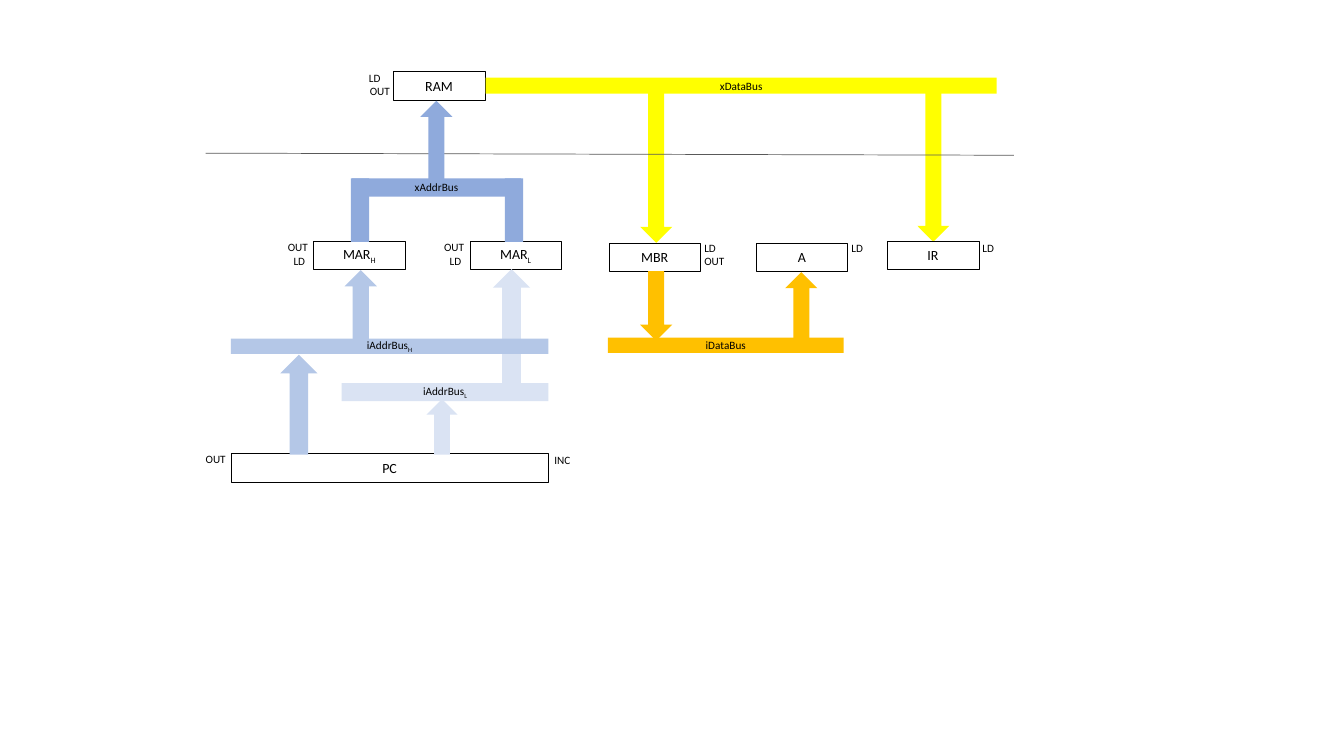
"""Draw the buses and registers of a small processor as one slide."""
from lxml.etree import SubElement
from pptx import Presentation
from pptx.dml.color import RGBColor
from pptx.enum.shapes import MSO_CONNECTOR, MSO_SHAPE as SHAPE
from pptx.enum.text import MSO_ANCHOR as ANCHOR, PP_ALIGN as ALIGN
from pptx.oxml.ns import qn
from pptx.util import Pt

COLORS = {
    "text": "000000", "register": "FFFFFF", "divider": "595959",
    "xdata": "FFFF00", "idata": "FFC000", "xaddr": "8FAADC",
    "iaddr_high": "B4C7E7", "iaddr_low": "DAE3F3",
}
REGISTER_W, REGISTER_H = 65.5, 20.2
SIGNAL_W, SIGNAL_H = 24.5, 9.4
ARROW_W, WIDE_ARROW_W = 23, 26.6


def color(name):
    return RGBColor.from_string(COLORS[name])


def write(frame, text, size, align, subscript=""):
    frame.margin_left = frame.margin_right = frame.margin_top = frame.margin_bottom = 0
    frame.word_wrap = True
    line = frame.paragraphs[0]
    line.text = text
    line.alignment = align
    if subscript:
        lowered = line.add_run()
        lowered.text = subscript
        lowered._r.get_or_add_rPr().set("baseline", "-25000")
    for run in line.runs:
        run.font.name = "Calibri"
        run.font.size = Pt(size)
        run.font.color.rgb = color("text")


def block(slide, kind, fill, left, top, width, height):
    part = slide.shapes.add_shape(kind, Pt(left), Pt(top), Pt(width), Pt(height))
    part.shadow.inherit = False
    part.fill.solid()
    part.fill.fore_color.rgb = color(fill)
    part.line.fill.background()
    return part


def bus(slide, fill, left, top, width, height, name, subscript=""):
    bar = block(slide, SHAPE.RECTANGLE, fill, left, top, width, height)
    bar.text_frame.vertical_anchor = ANCHOR.MIDDLE
    write(bar.text_frame, name, 8, ALIGN.CENTER, subscript)


def register(slide, left, top, name, subscript="", width=REGISTER_W):
    cell = block(slide, SHAPE.RECTANGLE, "register", left, top, width, REGISTER_H)
    cell.line.color.rgb = color("text")
    cell.line.width = Pt(0.25)
    cell.text_frame.vertical_anchor = ANCHOR.MIDDLE
    write(cell.text_frame, name, 10, ALIGN.CENTER, subscript)


def signal(slide, left, top, name, align=ALIGN.LEFT):
    tag = slide.shapes.add_textbox(Pt(left), Pt(top), Pt(SIGNAL_W), Pt(SIGNAL_H))
    write(tag.text_frame, name, 8, align)


def external_memory(slide, left, top):
    """Place RAM, the external data bus and the chip boundary."""
    ram = left + 133.9
    register(slide, ram, top, "RAM")
    signal(slide, ram - 17.3, top, "LD")
    signal(slide, ram - 16.6, top + SIGNAL_H, "OUT")
    bus(slide, "xdata", left + 200.1, top + 4.3, 365, 11.5, "xDataBus")
    for x, y, length in ((310.3, 15.1, 107.3), (508.3, 6.5, 115.2)):
        block(slide, SHAPE.DOWN_ARROW, "xdata", left + x, top + y, ARROW_W, length)
    boundary = slide.shapes.add_connector(
        MSO_CONNECTOR.STRAIGHT, Pt(left), Pt(top + 58.3), Pt(left + 577.4), Pt(top + 59.8))
    boundary.line.color.rgb = color("divider")
    boundary.line.width = Pt(0.5)
    SubElement(boundary._element.spPr, qn("a:effectLst"))


def external_address(slide, left, top):
    """Place the bridge that joins both address registers to RAM."""
    bus(slide, "xaddr", left + 0.7, top, 121, 13, "xAddrBus")
    for x in (0, 110.1):
        block(slide, SHAPE.RECTANGLE, "xaddr", left + x, top, 13, 45.4)
    block(slide, SHAPE.UP_ARROW, "xaddr", left + 49.6, top - 55.4, ARROW_W, 56.2)


def internal_address(slide, left, top):
    """Place the address registers, the internal address buses and PC."""
    for x, half in ((59, "H"), (170.6, "L")):
        register(slide, left + x, top, "MAR", half)
        signal(slide, left + x - 28.4, top - 0.4, "OUT", ALIGN.RIGHT)
        signal(slide, left + x - 30.4, top + 9.7, "LD", ALIGN.RIGHT)
    pc = top + 151.9
    register(slide, left, pc, "PC", width=226.8)
    signal(slide, left - 18, pc - 0.7, "OUT")
    signal(slide, left + 231.1, pc, "INC")
    bus(slide, "iaddr_low", left + 79.2, top + 101.5, 147.6, 13, "iAddrBus", "L")
    for fill, x, y, width, length in (
            ("iaddr_high", 81.3, 20.9, ARROW_W, 56.2),
            ("iaddr_low", 187.2, 20.1, WIDE_ARROW_W, 81.4),
            ("iaddr_high", 35.3, 81.3, WIDE_ARROW_W, 71.3),
            ("iaddr_low", 139.7, 113, 22.3, 39.6)):
        block(slide, SHAPE.UP_ARROW, fill, left + x, top + y, width, length)
    bus(slide, "iaddr_high", left, top + 69.8, 226.8, 10.8, "iAddrBus", "H")


def internal_data(slide, left, top):
    """Place the data registers and the internal data bus."""
    for x, y, name, signals in (
            (0, 1.4, "MBR", ("LD", "OUT")), (105.1, 1.4, "A", ("LD",)),
            (198.7, 0, "IR", ("LD",))):
        register(slide, left + x, top + y, name)
        for row, tag in enumerate(signals):
            signal(slide, left + x + REGISTER_W + 2.7, top + 0.3 + row * SIGNAL_H, tag)
    bus(slide, "idata", left - 0.7, top + 69.1, 168.5, 10.8, "iDataBus")
    for kind, x, y in ((SHAPE.DOWN_ARROW, 22.3, 21.6), (SHAPE.UP_ARROW, 126, 22.3)):
        block(slide, kind, "idata", left + x, top + y, ARROW_W, 49.7)


def main():
    deck = Presentation()
    deck.slide_width, deck.slide_height = Pt(960), Pt(540)
    slide = deck.slides.add_slide(deck.slide_layouts[6])
    external_memory(slide, 146.9, 51.1)
    internal_address(slide, 164.9, 172.1)
    internal_data(slide, 434.9, 172.1)
    external_address(slide, 250.6, 127.4)
    deck.save("out.pptx")


if __name__ == "__main__":
    main()
